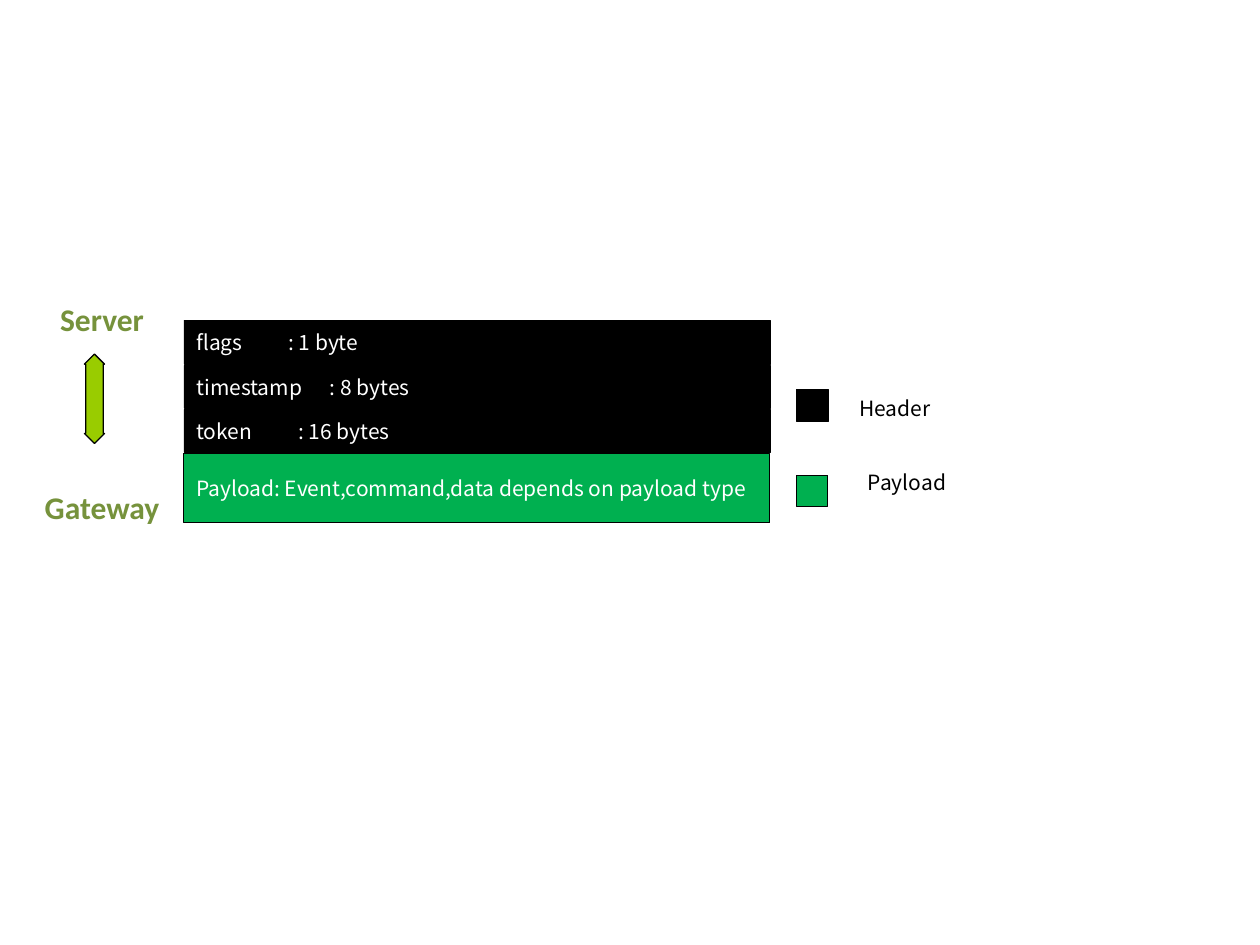
from dataclasses import dataclass

from lxml import etree
from pptx import Presentation
from pptx.dml.color import RGBColor
from pptx.enum.shapes import MSO_SHAPE
from pptx.enum.text import MSO_ANCHOR, PP_ALIGN
from pptx.oxml.ns import qn
from pptx.util import Inches, Pt

RECTANGLE, UP_DOWN_ARROW = MSO_SHAPE.RECTANGLE, MSO_SHAPE.UP_DOWN_ARROW
MIDDLE = MSO_ANCHOR.MIDDLE
LEFT, CENTER = PP_ALIGN.LEFT, PP_ALIGN.CENTER


@dataclass
class Theme:
    header: str = "000000"
    payload: str = "00B050"
    arrow: str = "99CC00"
    outline: str = "000000"
    light_text: str = "FFFFFF"
    dark_text: str = "000000"
    endpoint_text: str = "76923C"
    body_font: str = "Noto Sans CJK SC"
    endpoint_font: str = "Calibri"
    body_size: int = 12
    endpoint_size: int = 18


theme = Theme()


def add_block(kind, left, top, width, height, fill, line_width):
    shape = slide.shapes.add_shape(
        kind, Inches(left), Inches(top), Inches(width), Inches(height))
    shape.shadow.inherit = False
    shape.fill.solid()
    shape.fill.fore_color.rgb = RGBColor.from_string(fill)
    shape.line.color.rgb = RGBColor.from_string(theme.outline)
    shape.line.width = Pt(line_width)
    return shape


def set_text(shape, text, color, font, size, alignment=LEFT, bold=False):
    shape.text_frame.text = text
    for paragraph in shape.text_frame.paragraphs:
        paragraph.alignment = alignment
        for run in paragraph.runs:
            run.font.name = font
            run.font.size = Pt(size)
            run.font.bold = bold
            run.font.color.rgb = RGBColor.from_string(color)


presentation = Presentation()
presentation.slide_width = Inches(10)
presentation.slide_height = Inches(7.5)
slide = presentation.slides.add_slide(presentation.slide_layouts[6])

# Packet fields: text, top, height, fill, line width, tab stop
fields = [
    ("flags\t: 1 byte", 2.54, 0.35, theme.header, 0.25, 0.73),
    ("timestamp\t: 8 bytes", 2.9, 0.34, theme.header, 0.25, 1.06),
    ("token\t: 16 bytes", 3.25, 0.34, theme.header, 0.25, 0.81),
    ("Payload: Event,command,data depends on payload type",
     3.6, 0.55, theme.payload, 0.5, None),
]
for text, top, height, fill, line_width, tab_stop in fields:
    field = add_block(RECTANGLE, 1.46, top, 4.65, height, fill, line_width)
    field.text_frame.word_wrap = True
    field.text_frame.vertical_anchor = MIDDLE
    set_text(field, text, theme.light_text, theme.body_font, theme.body_size)
    if tab_stop:
        properties = field.text_frame.paragraphs[0]._p.get_or_add_pPr()
        tab_list = etree.SubElement(properties, qn("a:tabLst"))
        etree.SubElement(tab_list, qn("a:tab"), pos=str(Inches(tab_stop)), algn="l")

# Endpoints and the two-way arrow between them
endpoints = slide.shapes.add_textbox(Inches(0.24), Inches(2.33), Inches(1.14), Inches(2.5))
endpoints.text_frame.word_wrap = True
set_text(endpoints, "Server\nGateway", theme.endpoint_text, theme.endpoint_font,
         theme.endpoint_size, CENTER, True)
endpoints.text_frame.paragraphs[1].space_before = Pt(86)

arrow = add_block(UP_DOWN_ARROW, 0.67, 2.81, 0.16, 0.71, theme.arrow, 0.75)
arrow.adjustments[0] = 0.5
arrow.adjustments[1] = 0.87

# Legend: text, swatch top, fill, line width, label left, label top, label width
legend = [
    ("Header", 3.09, theme.header, 0.25, 6.72, 3.09, 0.77),
    ("Payload", 3.77, theme.payload, 0.5, 6.79, 3.68, 0.83),
]
for text, swatch_top, fill, line_width, left, top, width in legend:
    add_block(RECTANGLE, 6.32, swatch_top, 0.25, 0.25, fill, line_width)
    label = slide.shapes.add_textbox(Inches(left), Inches(top), Inches(width), Inches(0.3))
    label.text_frame.word_wrap = False
    set_text(label, text, theme.dark_text, theme.body_font, theme.body_size)

presentation.save("out.pptx")
